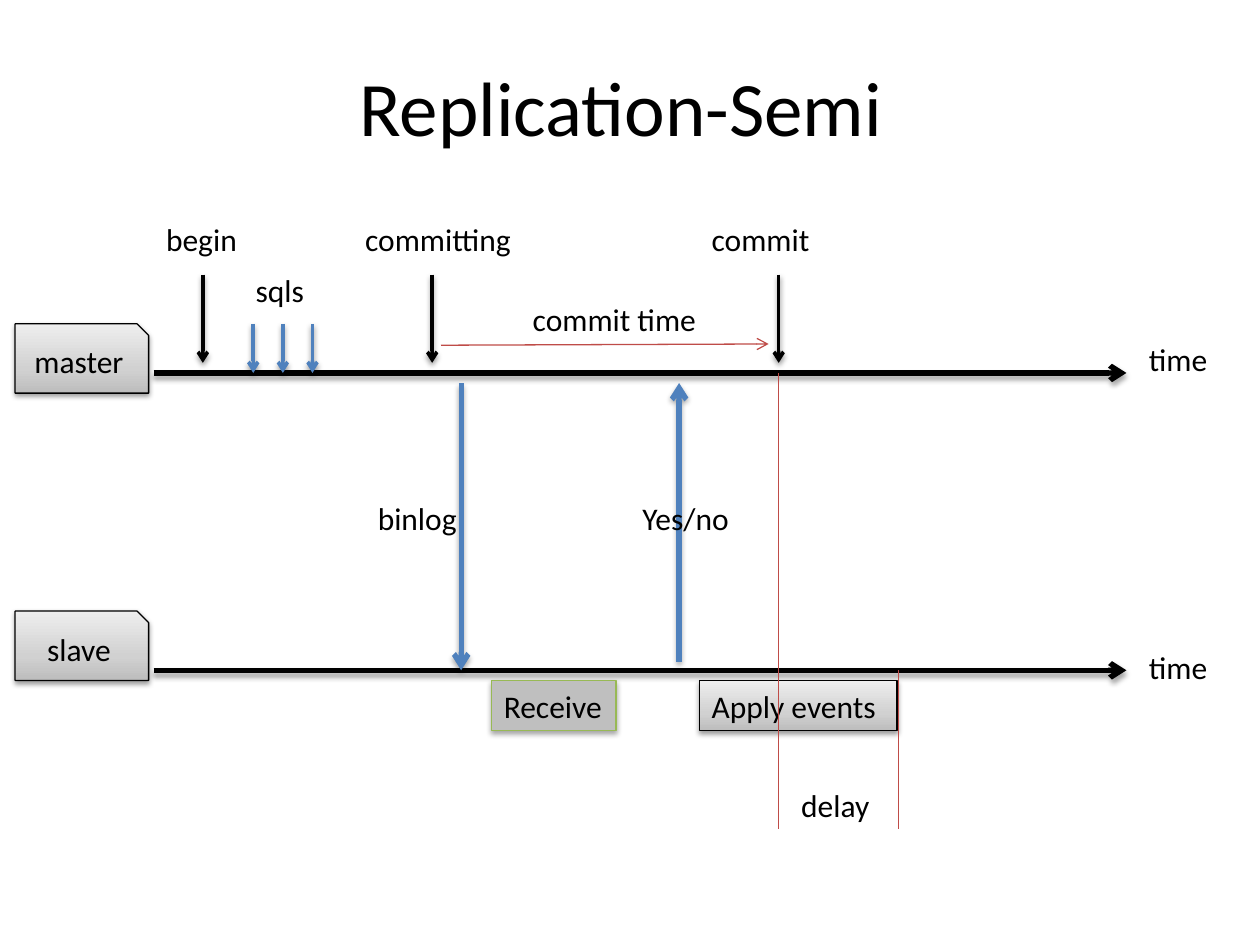
from dataclasses import dataclass

from lxml.etree import SubElement
from pptx import Presentation
from pptx.dml.color import RGBColor
from pptx.enum.shapes import MSO_CONNECTOR, MSO_SHAPE
from pptx.enum.text import MSO_ANCHOR, PP_ALIGN
from pptx.oxml.ns import qn
from pptx.util import Inches, Pt


@dataclass(frozen=True)
class Theme:
    font: str = "Calibri"
    title_size: float = 44
    body_size: float = 18
    black: str = "000000"
    blue: str = "4F81BD"
    red: str = "BF4C48"
    green: str = "98B955"
    grey: str = "BFBFBF"
    gradient: tuple = ((0, "BDBDBD"), (35, "D1D1D1"), (100, "EEEEEE"))
    thin: float = 0.75
    medium: float = 2
    thick: float = 3
    # Shadows: opacity in percent, distance in points
    soft: tuple = (38, 1.6)
    strong: tuple = (35, 1.8)


@dataclass(frozen=True)
class Box:
    left: float
    top: float
    width: float
    height: float

    def inner(self, x, y, width, height):
        return Box(self.left + x, self.top + y, width, height)

    def point(self, x, y):
        return self.left + x, self.top + y

    def lengths(self):
        return [Inches(v) for v in (self.left, self.top, self.width, self.height)]


THEME = Theme()
LABEL_HEIGHT = 0.4


def add_shadow(item, shadow=None):
    """Give the item its own effect list, empty when there is no shadow."""
    effects = SubElement(item._element.spPr, qn("a:effectLst"))
    if shadow:
        opacity, distance = shadow
        outer = SubElement(effects, qn("a:outerShdw"), blurRad=str(Pt(3.1)),
                           dist=str(Pt(distance)), dir="5400000", rotWithShape="0")
        color = SubElement(outer, qn("a:srgbClr"), val=THEME.black)
        SubElement(color, qn("a:alpha"), val=str(opacity * 1000))


def write_text(shape, text, size=THEME.body_size, align=PP_ALIGN.LEFT,
               anchor=MSO_ANCHOR.TOP, wrap=False):
    frame = shape.text_frame
    frame.word_wrap = wrap
    frame.vertical_anchor = anchor
    para = frame.paragraphs[0]
    para.alignment = align
    span = para.add_run()
    span.text = text
    span.font.name = THEME.font
    span.font.size = Pt(size)
    span.font.color.rgb = RGBColor.from_string(THEME.black)


def add_label(page, box, text, **style):
    write_text(page.shapes.add_textbox(*box.lengths()), text, **style)


def add_line(page, start, end, color, width, shadow=None, arrow=True):
    line = page.shapes.add_connector(
        MSO_CONNECTOR.STRAIGHT, *[Inches(v) for v in (*start, *end)])
    line.line.color.rgb = RGBColor.from_string(color)
    line.line.width = Pt(width)
    if arrow:
        SubElement(line.line._get_or_add_ln(), qn("a:tailEnd"), type="arrow")
    add_shadow(line, shadow)


def add_block(page, box, text, kind=MSO_SHAPE.RECTANGLE, fill=None,
              outline=THEME.black, shadow=THEME.soft, **style):
    """Draw a labelled block, with the grey gradient unless a fill is given."""
    block = page.shapes.add_shape(kind, *box.lengths())
    if fill:
        block.fill.solid()
        block.fill.fore_color.rgb = RGBColor.from_string(fill)
    else:
        block.fill.gradient()
        block.fill.gradient_angle = 90
        stops = block._element.spPr.find(qn("a:gradFill")).find(qn("a:gsLst"))
        for stop in list(stops):
            stops.remove(stop)
        for position, color in THEME.gradient:
            stop = SubElement(stops, qn("a:gs"), pos=str(position * 1000))
            SubElement(stop, qn("a:srgbClr"), val=color)
    block.line.color.rgb = RGBColor.from_string(outline)
    block.line.width = Pt(THEME.thin)
    add_shadow(block, shadow)
    write_text(block, text, **style)


def add_title(page, box):
    add_label(page, box, "Replication-Semi", size=THEME.title_size,
              align=PP_ALIGN.CENTER, anchor=MSO_ANCHOR.MIDDLE, wrap=True)


def add_lane(page, box, server, axis_y, time_y):
    """Server block, its time axis and the axis label."""
    add_line(page, box.point(1.1, axis_y), box.point(8.82, axis_y),
             THEME.black, THEME.thick, THEME.strong)
    add_block(page, box.inner(0, 0, 1.06, box.height), server,
              MSO_SHAPE.SNIP_1_RECTANGLE, align=PP_ALIGN.CENTER,
              anchor=MSO_ANCHOR.MIDDLE, wrap=True)
    add_label(page, box.inner(8.9, time_y, 0.67, LABEL_HEIGHT), "time")


def add_transaction(page, box):
    """Events on the master axis, which is the bottom edge of the box."""
    # Stages: label, label left, label width, arrow position
    for text, left, width, x in (("begin", 0, 0.77, 0.39),
                                 ("committing", 1.58, 1.38, 2.21),
                                 ("commit", 4.33, 0.99, 4.96)):
        add_label(page, box.inner(left, 0, width, LABEL_HEIGHT), text)
        add_line(page, box.point(x, 0.48), box.point(x, 1.18),
                 THEME.black, THEME.medium, THEME.soft)
    # Statements
    add_label(page, box.inner(0.71, 0.4, 0.59, LABEL_HEIGHT), "sqls")
    for index in range(3):
        x = 0.79 + index * 0.235
        add_line(page, box.point(x, 0.87), box.point(x, box.height),
                 THEME.blue, THEME.medium, THEME.soft)
    # Commit duration
    add_label(page, box.inner(2.91, 0.63, 1.53, LABEL_HEIGHT), "commit time")
    add_line(page, box.point(2.28, 1.04), box.point(4.88, 1.03),
             THEME.red, THEME.thin)


def add_exchange(page, box):
    """Messages between master and slave."""
    right = box.width
    for start, end in (((0, 0), (0, box.height)), ((right, 2.21), (right, 0))):
        add_line(page, box.point(*start), box.point(*end),
                 THEME.blue, THEME.thick, THEME.strong)
    for text, left, width in (("binlog", -0.76, 0.86), ("Yes/no", 1.34, 1.02)):
        add_label(page, box.inner(left, 0.82, width, 0.5), text,
                  anchor=MSO_ANCHOR.MIDDLE)


def add_slave_work(page, box):
    """Work blocks below the slave axis."""
    add_block(page, box.inner(0, 0, 0.99, box.height), "Receive",
              fill=THEME.grey, outline=THEME.green, shadow=THEME.strong)
    add_block(page, box.inner(1.65, 0, 1.57, box.height), "Apply events", wrap=True)


def add_delay(page, box):
    """Markers from commit and from the end of applying, with the gap named."""
    for x, top in ((0, 0), (box.width, 2.36)):
        add_line(page, box.point(x, top), box.point(x, box.height),
                 THEME.red, THEME.thin, arrow=False)
    add_label(page, box.inner(0.08, 3.23, 0.75, LABEL_HEIGHT), "delay")


def main():
    deck = Presentation()
    deck.slide_width, deck.slide_height = Inches(10), Inches(7.5)
    page = deck.slides.add_slide(deck.slide_layouts[6])
    add_title(page, Box(0.43, 0.21, 9, 1.25))
    add_lane(page, Box(0.12, 2.57, 9.57, 0.55), "master", axis_y=0.39, time_y=0.08)
    add_lane(page, Box(0.12, 4.85, 9.57, 0.55), "slave", axis_y=0.47, time_y=0.24)
    add_transaction(page, Box(1.22, 1.7, 5.32, 1.26))
    add_exchange(page, Box(3.66, 3.04, 1.73, 2.28))
    add_slave_work(page, Box(3.9, 5.4, 3.22, 0.4))
    add_delay(page, Box(6.18, 2.96, 0.95, 3.62))
    deck.save("out.pptx")


if __name__ == "__main__":
    main()
